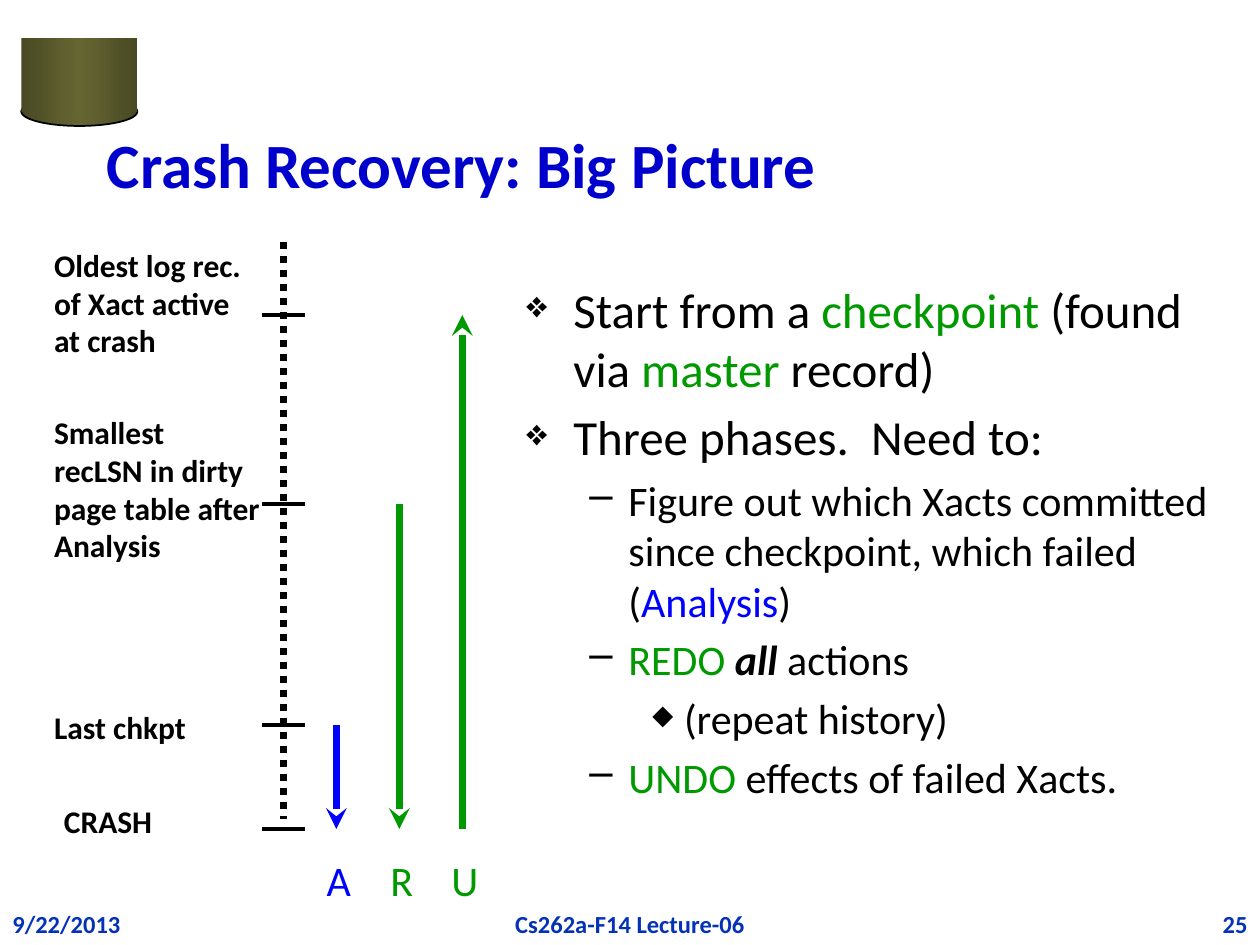
from copy import deepcopy
from dataclasses import dataclass

from lxml.etree import SubElement
from pptx import Presentation
from pptx.dml.color import RGBColor
from pptx.enum.dml import MSO_LINE_DASH_STYLE as Dash
from pptx.enum.shapes import MSO_CONNECTOR_TYPE as Connector, MSO_SHAPE as Shape
from pptx.enum.text import MSO_ANCHOR as Anchor, MSO_AUTO_SIZE as AutoSize, PP_ALIGN as Align
from pptx.oxml.ns import qn
from pptx.util import Cm, Pt


@dataclass(frozen=True)
class Theme:
    font: str = "Calibri"
    title: str = "0000CC"
    footer: str = "0332B7"
    text: str = "000000"
    blue: str = "0000FF"
    green: str = "009900"
    cylinder_edge: str = "494924"
    cylinder_middle: str = "666633"
    title_size: int = 36
    body_size: int = 28
    detail_size: int = 24
    label_size: int = 18
    footer_size: int = 14
    tick_width: int = 2
    arrow_width: int = 4


@dataclass(frozen=True)
class Box:
    """A rectangle in centimetres."""
    left: float
    top: float
    width: float
    height: float

    def inner(self, left, top, width, height):
        return Box(self.left + left, self.top + top, width, height)

    def lengths(self):
        return [Cm(value) for value in (self.left, self.top, self.width, self.height)]


THEME = Theme()

# Bullet character, size in percent, left indent, hanging indent, text size
LEVELS = [
    ("❖", 75, 0.95, 0.95, THEME.body_size),
    ("–", 100, 2.06, 0.79, THEME.detail_size),
    ("◆", 65, 3.18, 0.64, THEME.detail_size),
]

PHASES_TEXT = [
    (0, [("Start from a ", {}), ("checkpoint", {"color": THEME.green}), (" (found via ", {}),
         ("master", {"color": THEME.green}), (" record)", {})]),
    (0, [("Three phases.  Need to:", {})]),
    (1, [("Figure out which Xacts committed since checkpoint, which failed (", {}),
         ("Analysis", {"color": THEME.blue}), (")", {})]),
    (1, [("REDO ", {"color": THEME.green}), ("all ", {"bold": True, "italic": True}),
         ("actions", {})]),
    (2, [("(repeat history)", {})]),
    (1, [("UNDO", {"color": THEME.green}), (" effects of failed Xacts.", {})]),
]


def set_attributes(target, values):
    for name, value in values.items():
        setattr(target, name, value)


def add_run(paragraph, text, size, color=THEME.text, bold=False, italic=False):
    run = paragraph.add_run()
    run.text = text
    set_attributes(run.font, {"name": THEME.font, "size": Pt(size), "bold": bold, "italic": italic})
    run.font.color.rgb = RGBColor.from_string(color)


def add_text(slide, box, text, size, align=Align.LEFT, wrap=True, **format_values):
    frame = slide.shapes.add_textbox(*box.lengths()).text_frame
    frame.word_wrap = wrap
    paragraph = frame.paragraphs[0]
    paragraph.alignment = align
    add_run(paragraph, text, size, **format_values)


def add_line(slide, start, end, color, width, dash=None, arrow=None):
    """Draw a line; arrow is headEnd (at start) or tailEnd (at end)."""
    points = [Cm(value) for value in (*start, *end)]
    connector = slide.shapes.add_connector(Connector.STRAIGHT, *points)
    connector.line.color.rgb = RGBColor.from_string(color)
    connector.line.width = Pt(width)
    if dash:
        connector.line.dash_style = dash
    properties = connector._element.spPr
    if arrow:
        SubElement(properties.find(qn("a:ln")), qn(f"a:{arrow}"), type="stealth")
    SubElement(properties, qn("a:effectLst"))


def add_bullet(paragraph, character, size, left, hanging, space_percent):
    """Give the paragraph a hanging bullet and space before it in percent of a line."""
    properties = paragraph._p.get_or_add_pPr()
    properties.set("marL", str(int(Cm(left))))
    properties.set("indent", str(-int(Cm(hanging))))
    space = SubElement(properties, qn("a:spcBef"))
    SubElement(space, qn("a:spcPct"), val=str(space_percent * 1000))
    color = SubElement(properties, qn("a:buClr"))
    SubElement(color, qn("a:srgbClr"), val=THEME.text)
    SubElement(properties, qn("a:buSzPct"), val=str(size * 1000))
    SubElement(properties, qn("a:buChar"), char=character)


def fill_with_sheen(shape):
    """Shade the shape from dark edges to a lighter middle."""
    fill = shape.fill
    fill.gradient()
    fill.gradient_angle = 0
    first = fill.gradient_stops[0]._gs
    first.addnext(deepcopy(first))
    colors = (THEME.cylinder_edge, THEME.cylinder_middle, THEME.cylinder_edge)
    for stop, position, color in zip(fill.gradient_stops, (0.0, 0.5, 1.0), colors):
        stop.position = position
        stop.color.rgb = RGBColor.from_string(color)


def add_cylinder(slide, box):
    base_height = 0.58
    base = box.inner(0, box.height - base_height, box.width, base_height)
    side = box.inner(0, 0, box.width, box.height - base_height / 2)
    for kind, part in ((Shape.OVAL, base), (Shape.RECTANGLE, side)):
        shape = slide.shapes.add_shape(kind, *part.lengths())
        shape.shadow.inherit = False
        fill_with_sheen(shape)
        if kind == Shape.OVAL:
            shape.line.color.rgb = RGBColor.from_string(THEME.text)
            shape.line.width = Pt(1)
        else:
            shape.line.fill.background()


def add_title(slide, box, text):
    title = slide.shapes.title
    set_attributes(title, dict(zip(("left", "top", "width", "height"), box.lengths())))
    set_attributes(title.text_frame, {"vertical_anchor": Anchor.MIDDLE, "auto_size": AutoSize.NONE})
    paragraph = title.text_frame.paragraphs[0]
    paragraph.alignment = Align.LEFT
    add_run(paragraph, text, THEME.title_size, THEME.title, bold=True)


def add_phases(slide, box):
    frame = slide.shapes.add_textbox(*box.lengths()).text_frame
    frame.word_wrap = True
    for index, (level, runs) in enumerate(PHASES_TEXT):
        paragraph = frame.add_paragraph() if index else frame.paragraphs[0]
        character, bullet_size, left, hanging, size = LEVELS[level]
        paragraph.level = level
        add_bullet(paragraph, character, bullet_size, left, hanging, 20 if index else 0)
        for text, format_values in runs:
            add_run(paragraph, text, size, **format_values)


def add_log_timeline(slide, box):
    """Draw the log from oldest record to crash, with the reach of each pass."""
    axis, tick, label_width = box.left + 4.88, 0.87, 4.65
    oldest, smallest, checkpoint, crash = (box.top + y for y in (1.52, 5.33, 9.78, 11.88))
    marks = [
        (oldest, 0, 0, 2.54, "Oldest log rec. of Xact active at crash"),
        (smallest, 0, 3.37, 3.33, "Smallest recLSN in dirty page table after Analysis"),
        (checkpoint, 0, 9.32, 1.02, "Last chkpt"),
        (crash, 0.2, 11.22, 1.02, "CRASH"),
    ]
    for y, left, top, height, label in marks:
        add_text(slide, box.inner(left, top, label_width, height), label,
                 THEME.label_size, bold=True)
        add_line(slide, (axis - tick / 2, y), (axis + tick / 2, y), THEME.text, THEME.tick_width)
    add_line(slide, (axis, box.top + 0.05), (axis, box.top + 11.68),
             THEME.text, THEME.arrow_width, dash=Dash.ROUND_DOT)

    passes = [
        ("A", checkpoint, THEME.blue, "tailEnd"),
        ("R", smallest, THEME.green, "tailEnd"),
        ("U", oldest, THEME.green, "headEnd"),
    ]
    for index, (letter, start, color, arrow) in enumerate(passes):
        offset = 5.94 + 1.27 * index
        x = box.left + offset
        add_line(slide, (x, start), (x, crash), color, THEME.arrow_width, arrow=arrow)
        add_text(slide, box.inner(offset - 0.5, 12.27, 1.1, 1.3), letter, THEME.detail_size,
                 Align.CENTER, wrap=False, color=color)


def add_footer(slide, box):
    side, middle = 3.5, 7.98
    parts = [
        ("9/22/2013", 0, side, Align.LEFT),
        ("Cs262a-F14 Lecture-06", (box.width - middle) / 2, middle, Align.CENTER),
        ("25", box.width - side, side, Align.RIGHT),
    ]
    for text, left, width, align in parts:
        add_text(slide, box.inner(left, 0, width, box.height), text, THEME.footer_size, align,
                 color=THEME.footer, bold=True)


def main():
    presentation = Presentation()
    presentation.slide_width, presentation.slide_height = Cm(25.4), Cm(19.05)
    slide = presentation.slides.add_slide(presentation.slide_layouts[5])
    add_cylinder(slide, Box(0.43, 0.76, 2.34, 1.78))
    add_footer(slide, Box(0, 18.2, 25.4, 0.85))
    add_title(slide, Box(1.9, 1.7, 21.6, 3.18), "Crash Recovery: Big Picture")
    add_phases(slide, Box(10.36, 5.51, 15.04, 11.33))
    add_log_timeline(slide, Box(0.84, 4.83, 9.2, 13.57))
    presentation.save("out.pptx")


if __name__ == "__main__":
    main()
